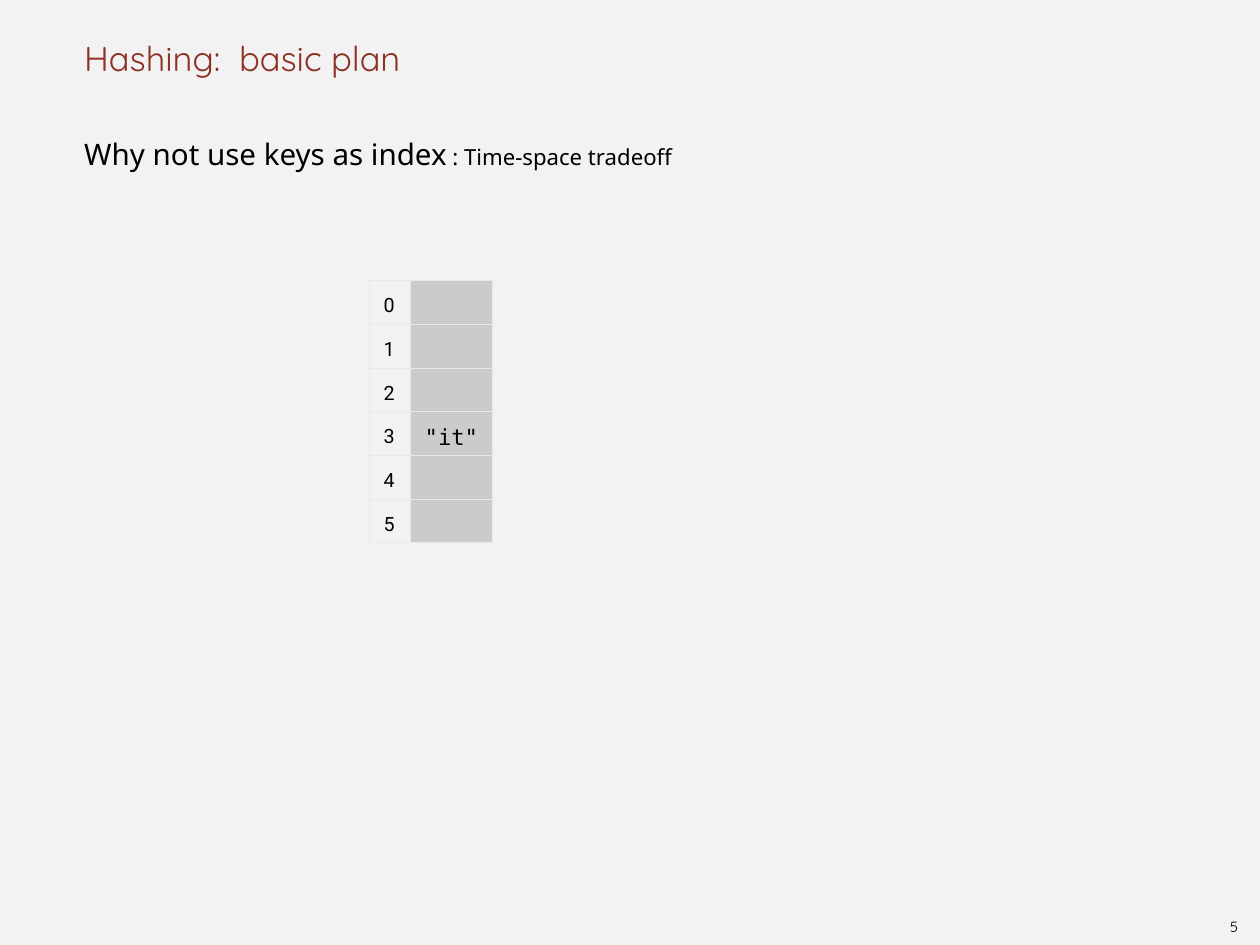
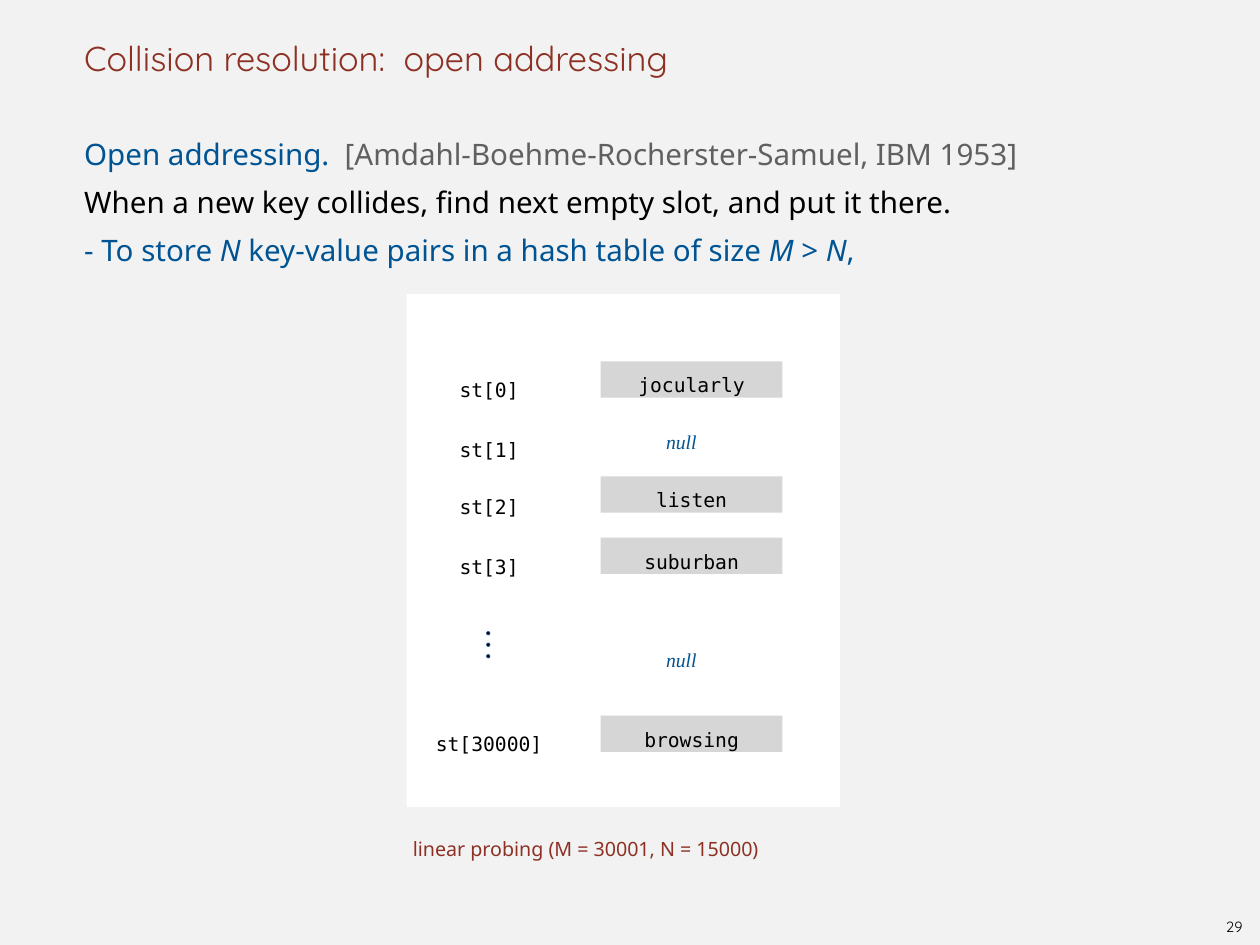
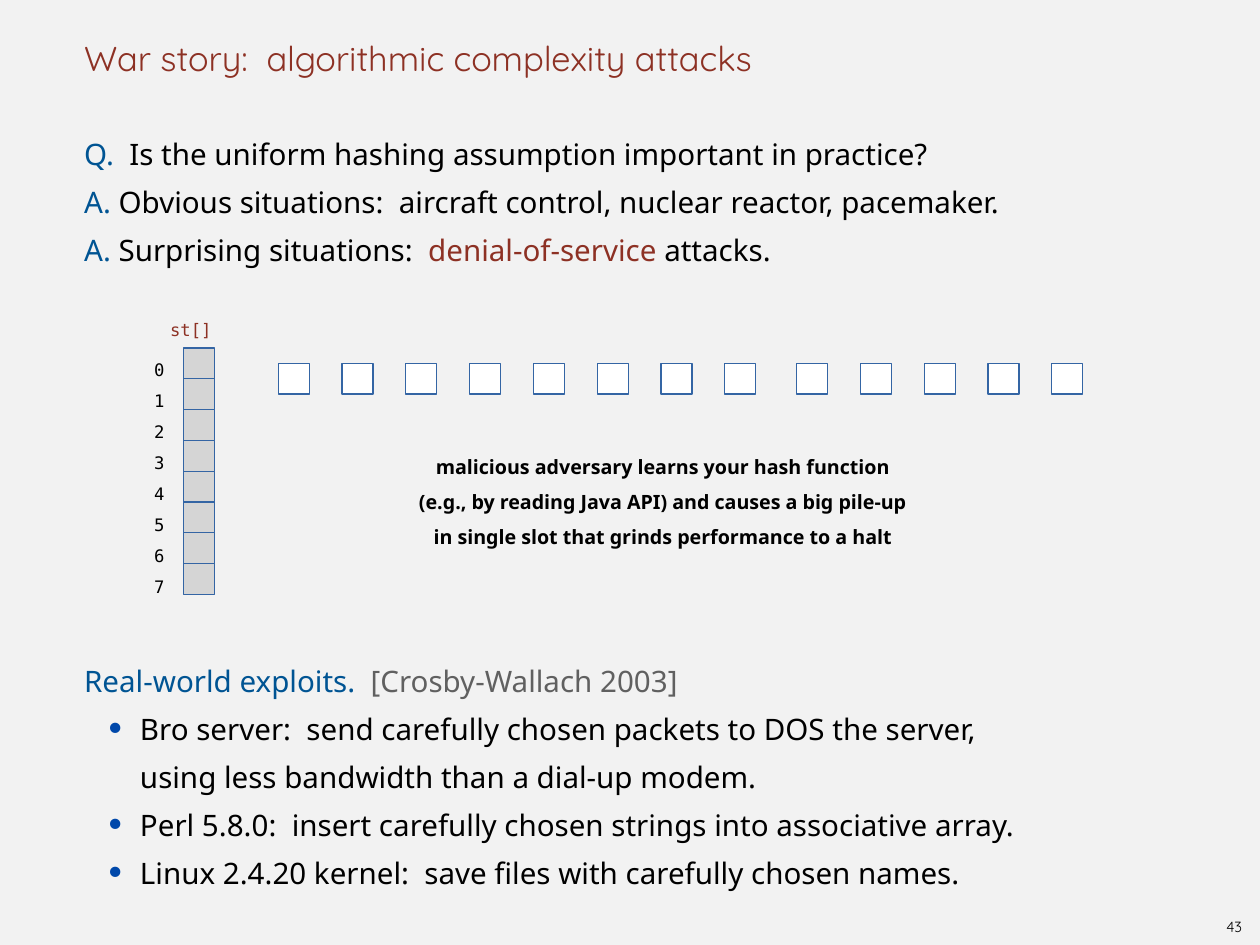
from dataclasses import dataclass

from lxml.etree import SubElement
from pptx import Presentation
from pptx.dml.color import RGBColor
from pptx.enum.shapes import MSO_SHAPE
from pptx.enum.text import MSO_ANCHOR, PP_ALIGN
from pptx.oxml import parse_xml
from pptx.oxml.ns import nsdecls, qn
from pptx.util import Inches, Pt

COLORS = {
    "paper": "F2F2F2", "ink": "000000", "red": "8D3124", "blue": "005493",
    "gray": "606060", "bullet": "0048AA", "white": "FFFFFF", "cell": "CBCBCB",
    "rule": "E7EAEB", "key": "D6D6D6", "slot": "D5D5D5", "edge": "3465A4",
    "dot": "010000",
}
MONO = "DejaVu Sans Mono"
FONTS = {
    "title": {"name": "Quicksand", "size": Pt(28)},
    "page": {"name": "Quicksand", "size": Pt(12)},
    "body": {"name": "Noto Sans", "size": Pt(24)},
    "aside": {"name": "Noto Sans", "size": Pt(18)},
    "variable": {"name": "Noto Sans", "size": Pt(24), "italic": True},
    "caption": {"name": "Noto Sans", "size": Pt(16)},
    "remark": {"name": "Noto Sans", "size": Pt(16), "bold": True},
    "index": {"name": "Roboto", "size": Pt(16)},
    "entry": {"name": MONO, "size": Pt(18)},
    "key": {"name": MONO, "size": Pt(16)},
    "slot": {"name": MONO, "size": Pt(14)},
    "null": {"name": "Times New Roman", "size": Pt(16), "italic": True},
}
INDENT = 0.06
BODY_LEADING = Pt(39)
CAPTION_LEADING = Pt(28.5)


@dataclass
class Box:
    """Area of a slide, in inches."""
    x: float
    y: float
    w: float
    h: float

    def sub(self, dx, dy, w, h):
        """Return an area offset from this one."""
        return Box(self.x + dx, self.y + dy, w, h)

    def rows(self, n):
        """Split the area into equal rows."""
        h = self.h / n
        return [self.sub(0, i * h, self.w, h) for i in range(n)]

    def emu(self):
        """Return the position and size as lengths."""
        return [Inches(v) for v in (self.x, self.y, self.w, self.h)]


SLIDE = Box(0, 0, 14.22, 10.67)
TITLE = SLIDE.sub(0.89, 0, 12.44, 0.89)
BODY = SLIDE.sub(0.89, 1.39, 12.44, 8.89)
PAGE = SLIDE.sub(13.76, 10.3, 0.34, 0.32)


def rgb(color):
    """Look up a colour by name."""
    return RGBColor.from_string(COLORS[color])


def add_run(p, text, style, color="ink"):
    """Add a run, turning newlines into line breaks."""
    for i, line in enumerate(text.split("\n")):
        if i:
            p.add_line_break()
        r = p.add_run()
        r.text = line
        for name, value in FONTS[style].items():
            setattr(r.font, name, value)
        r.font.color.rgb = rgb(color)


def set_bullet(p):
    """Give a paragraph a large dot and a hanging indent."""
    pPr = p._p.get_or_add_pPr()
    pPr.set("marL", str(Inches(0.69)))
    pPr.set("indent", str(-Inches(0.4)))
    clr = SubElement(pPr, qn("a:buClr"))
    SubElement(clr, qn("a:srgbClr"), val=COLORS["bullet"])
    SubElement(pPr, qn("a:buSzPct"), val="120000")
    SubElement(pPr, qn("a:buFont"), typeface=MONO)
    SubElement(pPr, qn("a:buChar"), char="•")


def write(tf, paragraphs, leading=None, align=PP_ALIGN.LEFT, bullets=False,
          anchor=MSO_ANCHOR.TOP, inset=0):
    """Fill a text frame with paragraphs, each a list of runs."""
    tf.word_wrap = True
    tf.vertical_anchor = anchor
    for side in ("left", "top", "right", "bottom"):
        setattr(tf, f"margin_{side}", Inches(inset))
    for i, runs in enumerate(paragraphs):
        p = tf.add_paragraph() if i else tf.paragraphs[0]
        p.alignment = align
        p.line_spacing = leading
        if bullets:
            set_bullet(p)
        elif align == PP_ALIGN.LEFT:
            p._p.get_or_add_pPr().set("marL", str(Inches(INDENT)))
        for run in runs:
            add_run(p, *run)


def add_text(s, box, paragraphs, **layout):
    """Place a text box."""
    write(s.shapes.add_textbox(*box.emu()).text_frame, paragraphs, **layout)


def add_block(s, box, fill, edge=None, kind=MSO_SHAPE.RECTANGLE, width=1):
    """Place a flat shape, with an outline if an edge colour is given."""
    sp = s.shapes.add_shape(kind, *box.emu())
    sp.shadow.inherit = False
    sp.fill.solid()
    sp.fill.fore_color.rgb = rgb(fill)
    if edge:
        sp.line.color.rgb = rgb(edge)
        sp.line.width = Pt(width)
    else:
        sp.line.fill.background()
    return sp


def add_page(prs, title, number, body):
    """Add a slide with its title, page number and body text."""
    s = prs.slides.add_slide(prs.slide_layouts[6])
    add_text(s, TITLE, [[(title, "title", "red")]], anchor=MSO_ANCHOR.BOTTOM)
    add_text(s, PAGE, [[(str(number), "page")]], align=PP_ALIGN.CENTER,
             anchor=MSO_ANCHOR.MIDDLE, inset=0.06)
    add_text(s, BODY, body, leading=BODY_LEADING)
    return s


def set_borders(cell):
    """Rule all four sides of a table cell."""
    tcPr = cell._tc.get_or_add_tcPr()
    for i, side in enumerate("LRTB"):
        tcPr.insert(i, parse_xml(
            f'<a:ln{side} {nsdecls("a")} w="12700"><a:solidFill>'
            f'<a:srgbClr val="{COLORS["rule"]}"/></a:solidFill></a:ln{side}>'))


def add_index_table(s, box, entries):
    """Draw an array as a table of indexes and entries."""
    table = s.shapes.add_table(len(entries), 2, *box.emu()).table
    table.first_row = table.horz_banding = False
    for column, share in zip(table.columns, (1, 2)):
        column.width = Inches(box.w * share / 3)
    for i, entry in enumerate(entries):
        index_cell, entry_cell = table.cell(i, 0), table.cell(i, 1)
        index_cell.fill.background()
        entry_cell.fill.solid()
        entry_cell.fill.fore_color.rgb = rgb("cell")
        for cell, text, style in ((index_cell, str(i), "index"),
                                  (entry_cell, entry, "entry")):
            set_borders(cell)
            cell.vertical_anchor = MSO_ANCHOR.MIDDLE
            if text:
                write(cell.text_frame, [[(text, style)]], leading=1.3,
                      anchor=MSO_ANCHOR.MIDDLE, inset=0.06)


def add_probing_panel(s, box):
    """Draw the panel of a hash table with keys and empty slots."""
    centred = {"leading": 1.5, "align": PP_ALIGN.CENTER}
    add_block(s, box, "white")
    for label, dy in (("st[0]", 0.81), ("st[1]", 1.49), ("st[2]", 2.13),
                      ("st[3]", 2.81), ("st[30000]", 4.81)):
        add_text(s, box.sub(0.17, dy, 1.52, 0.27), [[(label, "key")]], **centred)
    for key, dy in (("jocularly", 0.76), ("listen", 2.06),
                    ("suburban", 2.75), ("browsing", 4.76)):
        sp = add_block(s, box.sub(2.19, dy, 2.05, 0.41), "key")
        write(sp.text_frame, [[(key, "key")]], **centred)
    for dy in (1.4, 3.86):
        add_text(s, box.sub(2.72, dy, 0.76, 0.38),
                 [[("null", "null", "blue")]], **centred)
    for i in range(3):
        add_block(s, box.sub(0.9, 3.81 + 0.13 * i, 0.04, 0.04), "dot", "edge",
                  MSO_SHAPE.OVAL, 0.5)
    add_text(s, box.sub(0.01, 6, 5.03, 0.35),
             [[("linear probing (M = 30001, N = 15000)", "caption", "red")]],
             leading=CAPTION_LEADING)


def add_pile_up(s, box):
    """Draw an array whose first slot holds a long chain."""
    add_text(s, box.sub(0.18, 0, 0.66, 0.33), [[("st[]", "slot", "red")]],
             leading=1.5)
    for i, slot in enumerate(box.sub(0.39, 0.44, 0.35, 2.78).rows(8)):
        add_block(s, slot, "slot", "edge")
        add_text(s, box.sub(0, 0.45 + 0.35 * i, 0.31, 0.33),
                 [[(str(i), "slot")]], leading=1.5)
    for start, count in ((1.46, 8), (7.31, 5)):
        for i in range(count):
            add_block(s, box.sub(start + 0.72 * i, 0.61, 0.35, 0.35),
                      "white", "edge")
    lines = ("malicious adversary learns your hash function",
             "(e.g., by reading Java API) and causes a big pile-up",
             "in single slot that grinds performance to a halt")
    add_text(s, box.sub(2.74, 1.52, 6.12, 1.11),
             [[(line, "remark")] for line in lines],
             leading=CAPTION_LEADING, align=PP_ALIGN.CENTER)


def add_exploits(s, box):
    """List the exploits under a heading line."""
    line = BODY_LEADING.inches
    add_text(s, box.sub(0, 0, box.w, line),
             [[("Real-world exploits.  ", "body", "blue"),
               ("[Crosby-Wallach 2003]", "body", "gray")]],
             leading=BODY_LEADING)
    exploits = (
        "Bro server:  send carefully chosen packets to DOS the server,\n"
        "using less bandwidth than a dial-up modem.",
        "Perl 5.8.0:  insert carefully chosen strings into associative array.",
        "Linux 2.4.20 kernel:  save files with carefully chosen names.")
    add_text(s, box.sub(0, line, box.w, box.h - line),
             [[(text, "body")] for text in exploits],
             leading=BODY_LEADING, bullets=True)


def basic_plan(prs):
    """Build the slide on keys as indexes."""
    s = add_page(prs, "Hashing:  basic plan", 5, [
        [("Why not use keys as index", "body"),
         (" : Time-space tradeoff", "aside")]])
    add_index_table(s, SLIDE.sub(4.17, 3.17, 1.39, 2.96),
                    ["", "", "", '"it"', "", ""])


def open_addressing(prs):
    """Build the slide on open addressing."""
    s = add_page(prs, "Collision resolution:  open addressing", 29, [
        [("Open addressing.  ", "body", "blue"),
         ("[Amdahl-Boehme-Rocherster-Samuel, IBM 1953]", "body", "gray")],
        [("When a new key collides, find next empty slot, and put it there.",
          "body")],
        [("- To store ", "body", "blue"), ("N ", "variable", "blue"),
         ("key-value pairs in a hash table of size ", "body", "blue"),
         ("M ", "variable", "blue"), ("> ", "body", "blue"),
         ("N", "variable", "blue"), (",", "body", "blue")]])
    add_probing_panel(s, SLIDE.sub(4.59, 3.32, 4.89, 5.79))


def complexity_attacks(prs):
    """Build the slide on complexity attacks."""
    s = add_page(prs, "War story:  algorithmic complexity attacks", 43, [
        [("Q.  ", "body", "blue"),
         ("Is the uniform hashing assumption important in practice?", "body")],
        [("A. ", "body", "blue"),
         ("Obvious situations:  aircraft control, nuclear reactor, pacemaker.",
          "body")],
        [("A. ", "body", "blue"), ("Surprising situations:  ", "body"),
         ("denial-of-service ", "body", "red"), ("attacks.", "body")]])
    add_pile_up(s, SLIDE.sub(1.68, 3.49, 10.55, 3.23))
    skip = 11 * BODY_LEADING.inches
    add_exploits(s, BODY.sub(0, skip, BODY.w, BODY.h - skip))


def main():
    """Build and save the presentation."""
    prs = Presentation()
    prs.slide_width, prs.slide_height = Inches(SLIDE.w), Inches(SLIDE.h)
    fill = prs.slide_master.background.fill
    fill.solid()
    fill.fore_color.rgb = rgb("paper")
    for build in (basic_plan, open_addressing, complexity_attacks):
        build(prs)
    prs.save("out.pptx")


if __name__ == "__main__":
    main()
